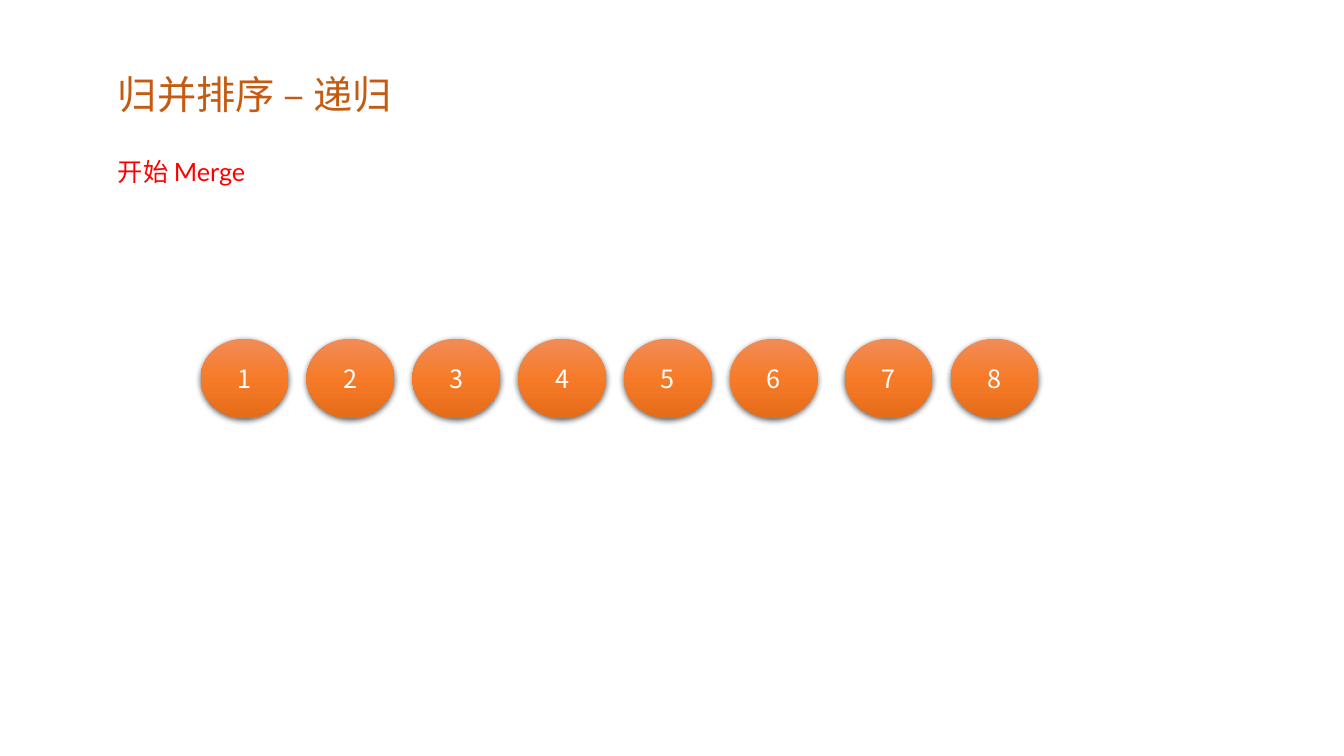
"""Build the merge sort recursion slide with its row of eight numbered circles."""
import lxml.etree
import pptx
import pptx.dml.color
import pptx.enum.shapes
import pptx.enum.text
import pptx.oxml
import pptx.oxml.ns
import pptx.util

Inches = pptx.util.Inches
THEME = {
    "title": {"size": 28, "font": "Lato", "color": "C55A11"},
    "step": {"size": 18, "font": "Lato", "color": "FF0000"},
    "number": {"size": 18, "font": "Noto Sans CJK SC", "color": "FFFFFF"},
    "east_asian": "Noto Sans CJK SC",
    "gradient": [(0, "F18C57"), (50, "F67B28"), (100, "E56C19")],
    "shadow": "000000",
}
NS = pptx.oxml.ns.nsdecls("a")
STOPS = "".join(
    f'<a:gs pos="{pos * 1000}"><a:srgbClr val="{color}"/></a:gs>'
    for pos, color in THEME["gradient"]
)
GRADIENT = (
    f'<a:gradFill {NS} rotWithShape="1"><a:gsLst>{STOPS}</a:gsLst>'
    '<a:lin ang="5400000" scaled="0"/></a:gradFill>'
)
SHADOW = (
    f'<a:outerShdw {NS} blurRad="57150" dist="19050" dir="5400000" algn="ctr" rotWithShape="0">'
    f'<a:srgbClr val="{THEME["shadow"]}"><a:alpha val="63000"/></a:srgbClr></a:outerShdw>'
)


def write(sp, text, style, align, anchor, wrap):
    """Put one styled line of text in a shape."""
    tf = sp.text_frame
    frame = {"word_wrap": wrap, "vertical_anchor": anchor,
             "auto_size": pptx.enum.text.MSO_AUTO_SIZE.NONE,
             "margin_left": Inches(0.1), "margin_right": Inches(0.1),
             "margin_top": Inches(0.05), "margin_bottom": Inches(0.05)}
    for name, value in frame.items():
        setattr(tf, name, value)
    p = tf.paragraphs[0]
    for name, value in {"alignment": align, "line_spacing": 1.0,
                        "space_before": pptx.util.Pt(0)}.items():
        setattr(p, name, value)
    r = p.add_run()
    r.text = text
    for name, value in {"size": pptx.util.Pt(style["size"]), "name": style["font"],
                        "bold": False}.items():
        setattr(r.font, name, value)
    r.font.color.rgb = pptx.dml.color.RGBColor.from_string(style["color"])
    ea = lxml.etree.SubElement(r.font._element, pptx.oxml.ns.qn("a:ea"))
    ea.set("typeface", THEME["east_asian"])


prs = pptx.Presentation()
prs.slide_width, prs.slide_height = Inches(13.33), Inches(7.5)
slide = prs.slides.add_slide(prs.slide_layouts[5])
left, top = pptx.enum.text.PP_ALIGN.LEFT, pptx.enum.text.MSO_ANCHOR.TOP
center, middle = pptx.enum.text.PP_ALIGN.CENTER, pptx.enum.text.MSO_ANCHOR.MIDDLE

title = slide.shapes.title
for name, value in {"left": 1.07, "top": 0.65, "width": 3.15, "height": 0.57}.items():
    setattr(title, name, Inches(value))
write(title, "归并排序 – 递归", THEME["title"], left, top, False)

step = slide.shapes.add_textbox(Inches(1.07), Inches(1.5), Inches(1.65), Inches(0.4))
write(step, "开始 Merge", THEME["step"], left, top, False)

first_x, pitch, extra_gap = 1.99, 1.05, 0.09
for i in range(8):
    x = first_x + i * pitch + (extra_gap if i >= 6 else 0)
    sp = slide.shapes.add_shape(pptx.enum.shapes.MSO_SHAPE.OVAL,
                                Inches(x), Inches(3.36), Inches(0.87), Inches(0.79))
    sp.line.fill.background()
    sp.shadow.inherit = False
    props = sp._element.spPr
    props.find(pptx.oxml.ns.qn("a:prstGeom")).addnext(pptx.oxml.parse_xml(GRADIENT))
    props.find(pptx.oxml.ns.qn("a:effectLst")).append(pptx.oxml.parse_xml(SHADOW))
    write(sp, str(i + 1), THEME["number"], center, middle, True)

prs.save("out.pptx")
